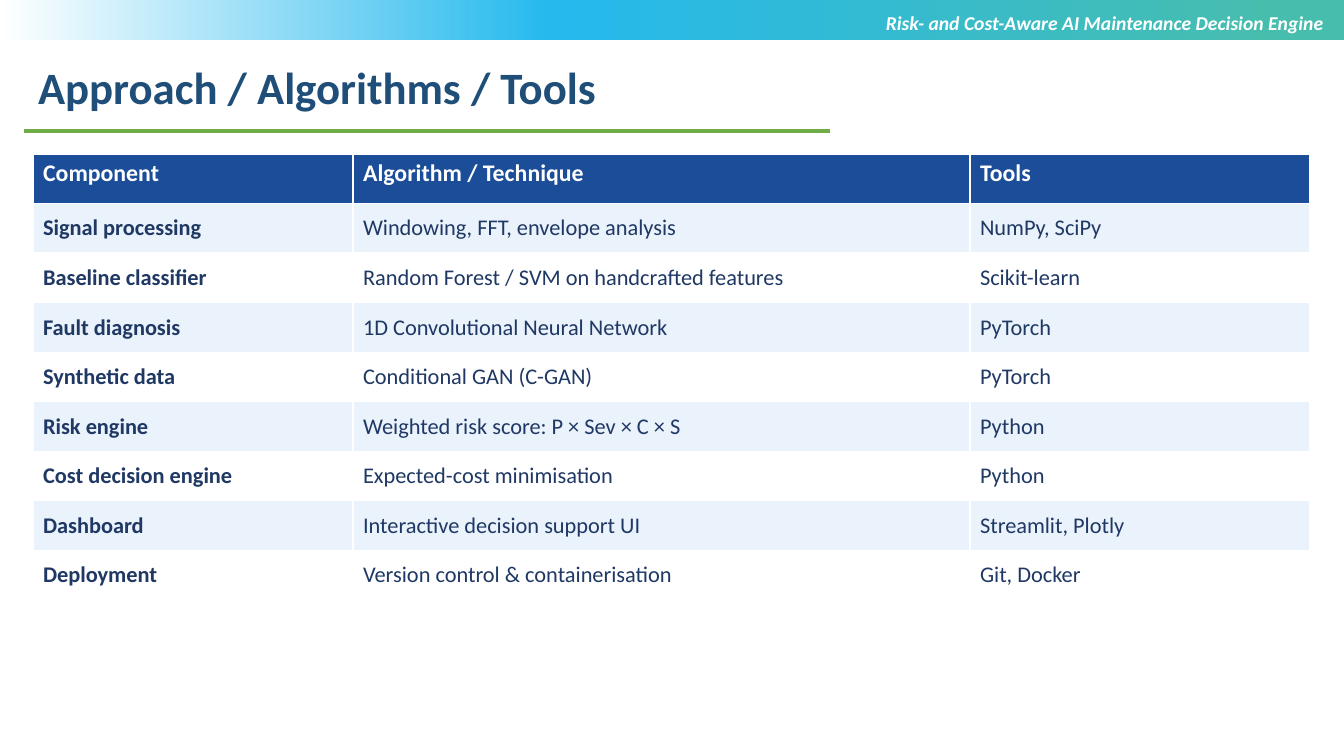
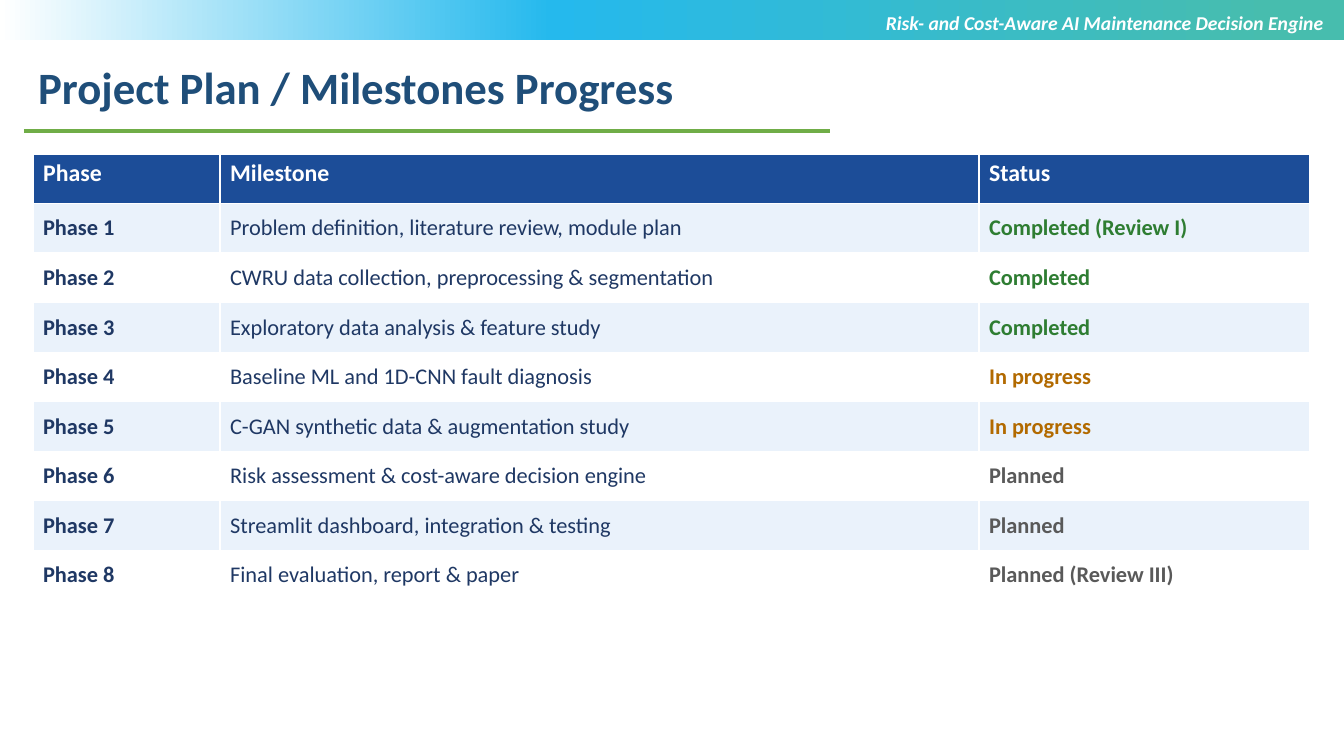
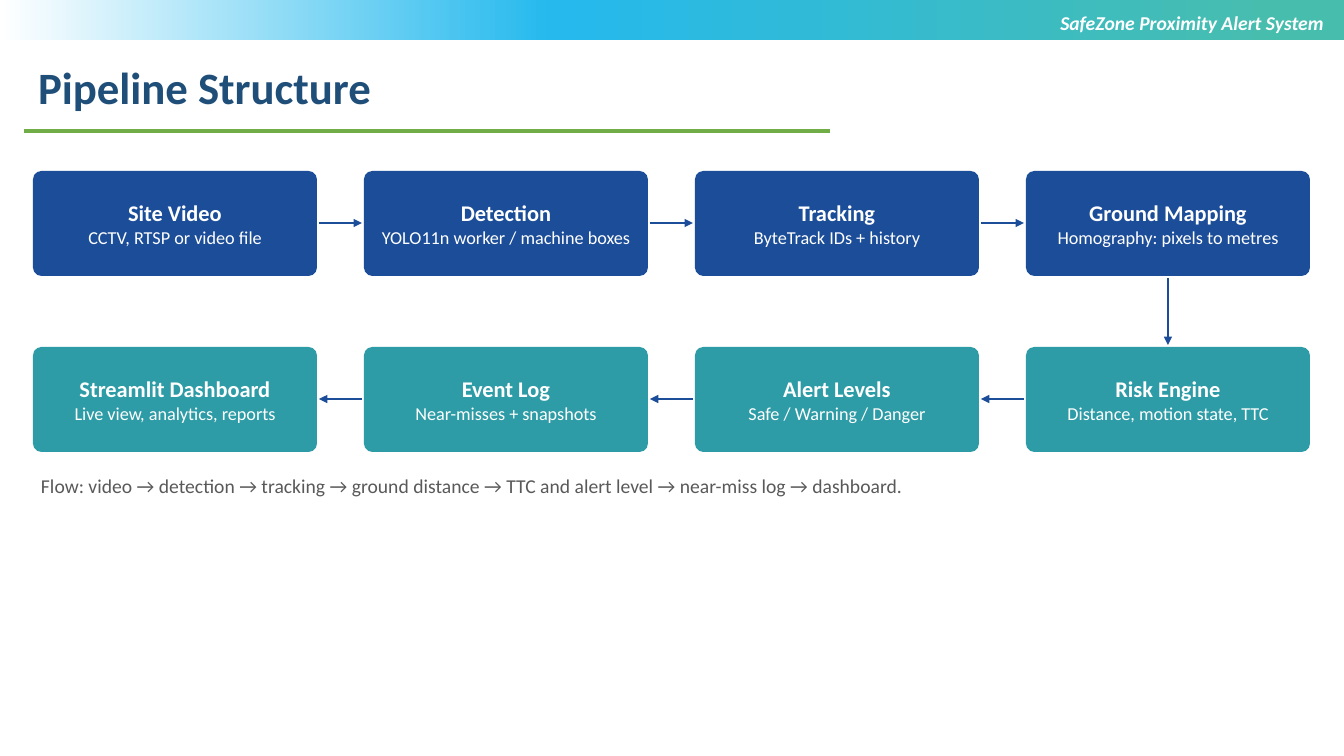
from dataclasses import dataclass

from lxml.etree import SubElement
from pptx import Presentation
from pptx.dml.color import RGBColor
from pptx.enum.shapes import MSO_CONNECTOR, MSO_SHAPE
from pptx.enum.text import MSO_ANCHOR, MSO_AUTO_SIZE, PP_ALIGN
from pptx.oxml.ns import qn
from pptx.util import Emu, Pt


def px(n):
    """Turn whole pixels into EMU (1344 px make 13.33 inches)."""
    return Emu(round(n * 12192000 / 1344))


@dataclass(frozen=True)
class Theme:
    """Colours and type sizes of the deck."""
    font: str = "Calibri"
    title: str = "1F4E79"
    rule: str = "70AD47"
    navy: str = "1C4D98"
    teal: str = "2E9CA6"
    body: str = "1F3864"
    stripe: str = "EAF2FB"
    white: str = "FFFFFF"
    done: str = "2E7D32"
    active: str = "B26A00"
    muted: str = "595959"
    band: tuple = ((5, "47BDAE"), (59, "25B9ED"), (100, "FFFFFF"))
    title_size: int = 32
    head_size: int = 17
    body_size: int = 16
    note_size: int = 14
    detail_size: int = 13


class Deck:
    """Holds the theme and the current slide."""

    def __init__(self, theme):
        """Start an empty widescreen deck."""
        self.theme = theme
        self.prs = Presentation()
        self.prs.slide_width, self.prs.slide_height = px(1344), px(756)
        self.s = None

    def slide(self, title, project):
        """Add a slide with its band, title, rule and project name."""
        t = self.theme
        self.s = self.prs.slides.add_slide(self.prs.slide_layouts[6])
        self.band()
        self.text(28, 55, 1171, 72, title, size=t.title_size, color=t.title, bold=True)
        self.line(24, 131, 830, 131, t.rule, 2.25)
        self.text(353, 6, 981, 72, project, align=PP_ALIGN.RIGHT,
                  size=t.note_size, color=t.white, bold=True, italic=True)

    def add_text(self, p, text, align=None, color=None, size=None, **fmt):
        """Put one formatted run into a paragraph."""
        p.alignment = align
        r = p.add_run()
        r.text = text
        r.font.color.rgb = RGBColor.from_string(color)
        for key, value in {"name": self.theme.font, "size": Pt(size), **fmt}.items():
            setattr(r.font, key, value)

    def frame(self, tf, inset_x, inset_y, **fmt):
        """Set the insets and other properties of a text frame."""
        insets = {"margin_left": px(inset_x), "margin_right": px(inset_x),
                  "margin_top": px(inset_y), "margin_bottom": px(inset_y)}
        for key, value in {"word_wrap": True, **insets, **fmt}.items():
            setattr(tf, key, value)

    def text(self, x, y, w, h, text, inset=(10, 5), **fmt):
        """Add a one-paragraph text box."""
        tf = self.s.shapes.add_textbox(px(x), px(y), px(w), px(h)).text_frame
        self.frame(tf, *inset, auto_size=MSO_AUTO_SIZE.SHAPE_TO_FIT_TEXT)
        self.add_text(tf.paragraphs[0], text, **fmt)

    def shape(self, kind, x, y, w, h):
        """Add a preset shape without line or shadow."""
        sp = self.s.shapes.add_shape(kind, px(x), px(y), px(w), px(h))
        sp.shadow.inherit = False
        sp.line.fill.background()
        return sp

    def band(self):
        """Add the gradient band along the top edge."""
        sp = self.shape(MSO_SHAPE.RECTANGLE, 0, 0, 1344, 40)
        sp.fill.gradient()
        sp.fill.gradient_angle = 180
        stops = sp.element.spPr.find(qn("a:gradFill")).find(qn("a:gsLst"))
        stops.clear()
        for pos, color in self.theme.band:
            stop = SubElement(stops, qn("a:gs"), pos=str(pos * 1000))
            SubElement(stop, qn("a:srgbClr"), val=color)

    def line(self, x1, y1, x2, y2, color, width, arrow=False):
        """Add a straight line, with an arrowhead at its end if asked."""
        c = self.s.shapes.add_connector(MSO_CONNECTOR.STRAIGHT, px(x1), px(y1), px(x2), px(y2))
        c.line.color.rgb = RGBColor.from_string(color)
        c.line.width = Pt(width)
        if arrow:
            SubElement(c.element.spPr.find(qn("a:ln")), qn("a:tailEnd"), type="triangle")
        SubElement(c.element.spPr, qn("a:effectLst"))

    def box(self, x, y, w, h, fill, name, detail):
        """Add a rounded box with a name and a detail line."""
        t = self.theme
        sp = self.shape(MSO_SHAPE.ROUNDED_RECTANGLE, x, y, w, h)
        sp.adjustments[0] = 0.08
        sp.fill.solid()
        sp.fill.fore_color.rgb = RGBColor.from_string(fill)
        tf = sp.text_frame
        self.frame(tf, 8, 4, vertical_anchor=MSO_ANCHOR.MIDDLE)
        fmt = {"align": PP_ALIGN.CENTER, "color": t.white}
        self.add_text(tf.paragraphs[0], name, size=t.body_size, bold=True, **fmt)
        self.add_text(tf.add_paragraph(), detail, size=t.detail_size, bold=False, **fmt)

    def table(self, widths, rows, colors=None):
        """Add a striped table; colors maps first words of the last column."""
        t = self.theme
        tbl = self.s.shapes.add_table(len(rows), len(widths), px(33), px(154),
                                      px(sum(widths)), px(446)).table
        for col, width in zip(tbl.columns, widths):
            col.width = px(width)
        for i, row in enumerate(rows):
            for j, text in enumerate(row):
                cell = tbl.cell(i, j)
                fill = t.stripe if i % 2 else t.white
                fmt = {"size": t.body_size, "color": t.body, "bold": j == 0}
                if i == 0:
                    fill = t.navy
                    fmt = {"size": t.head_size, "color": t.white, "bold": True}
                else:
                    cell.vertical_anchor = MSO_ANCHOR.MIDDLE
                    if colors and j == len(row) - 1:
                        fmt.update(color=colors[text.split()[0]], bold=True)
                cell.fill.solid()
                cell.fill.fore_color.rgb = RGBColor.from_string(fill)
                self.add_text(cell.text_frame.paragraphs[0], text, **fmt)

    def pipeline(self, top, bottom):
        """Add two rows of boxes: the flow runs right, down, then left."""
        t = self.theme
        x0, y0, w, h, dx, dy, gap = 33, 171, 284, 105, 331, 176, 2
        last = len(top) - 1
        y_top, y_bottom = y0 + h // 2, y0 + dy + h // 2
        for i, (upper, lower) in enumerate(zip(top, bottom)):
            x = x0 + i * dx
            self.box(x, y0, w, h, t.navy, *upper)
            self.box(x, y0 + dy, w, h, t.teal, *lower)
            if i < last:
                left, right = x + w + gap, x + dx - gap
                self.line(left, y_top, right, y_top, t.navy, 2, arrow=True)
                self.line(right, y_bottom, left, y_bottom, t.navy, 2, arrow=True)
        mid = x0 + last * dx + w // 2
        self.line(mid, y0 + h + gap, mid, y0 + dy - gap, t.navy, 2, arrow=True)


TOOLS = [
    ("Component", "Algorithm / Technique", "Tools"),
    ("Signal processing", "Windowing, FFT, envelope analysis", "NumPy, SciPy"),
    ("Baseline classifier", "Random Forest / SVM on handcrafted features", "Scikit-learn"),
    ("Fault diagnosis", "1D Convolutional Neural Network", "PyTorch"),
    ("Synthetic data", "Conditional GAN (C-GAN)", "PyTorch"),
    ("Risk engine", "Weighted risk score: P × Sev × C × S", "Python"),
    ("Cost decision engine", "Expected-cost minimisation", "Python"),
    ("Dashboard", "Interactive decision support UI", "Streamlit, Plotly"),
    ("Deployment", "Version control & containerisation", "Git, Docker"),
]
MILESTONES = [
    ("Problem definition, literature review, module plan", "Completed (Review I)"),
    ("CWRU data collection, preprocessing & segmentation", "Completed"),
    ("Exploratory data analysis & feature study", "Completed"),
    ("Baseline ML and 1D-CNN fault diagnosis", "In progress"),
    ("C-GAN synthetic data & augmentation study", "In progress"),
    ("Risk assessment & cost-aware decision engine", "Planned"),
    ("Streamlit dashboard, integration & testing", "Planned"),
    ("Final evaluation, report & paper", "Planned (Review III)"),
]
SENSING = [
    ("Site Video", "CCTV, RTSP or video file"),
    ("Detection", "YOLO11n worker / machine boxes"),
    ("Tracking", "ByteTrack IDs + history"),
    ("Ground Mapping", "Homography: pixels to metres"),
]
RESPONSE = [
    ("Streamlit Dashboard", "Live view, analytics, reports"),
    ("Event Log", "Near-misses + snapshots"),
    ("Alert Levels", "Safe / Warning / Danger"),
    ("Risk Engine", "Distance, motion state, TTC"),
]


def main():
    """Build the three slides and save them."""
    t = Theme()
    deck = Deck(t)
    engine = "Risk- and Cost-Aware AI Maintenance Decision Engine"

    deck.slide("Approach / Algorithms / Tools", engine)
    deck.table((320, 617, 340), TOOLS)

    deck.slide("Project Plan / Milestones Progress", engine)
    phases = [(f"Phase {n}", *row) for n, row in enumerate(MILESTONES, 1)]
    deck.table((187, 759, 331), [("Phase", "Milestone", "Status"), *phases],
               {"Completed": t.done, "In": t.active, "Planned": t.muted})

    deck.slide("Pipeline Structure", "SafeZone Proximity Alert System")
    deck.pipeline(SENSING, RESPONSE)
    deck.text(33, 466, 1277, 44,
              "Flow: video → detection → tracking → ground distance → "
              "TTC and alert level → near-miss log → dashboard.",
              inset=(8, 8), size=t.note_size, color=t.muted)

    deck.prs.save("out.pptx")


if __name__ == "__main__":
    main()
